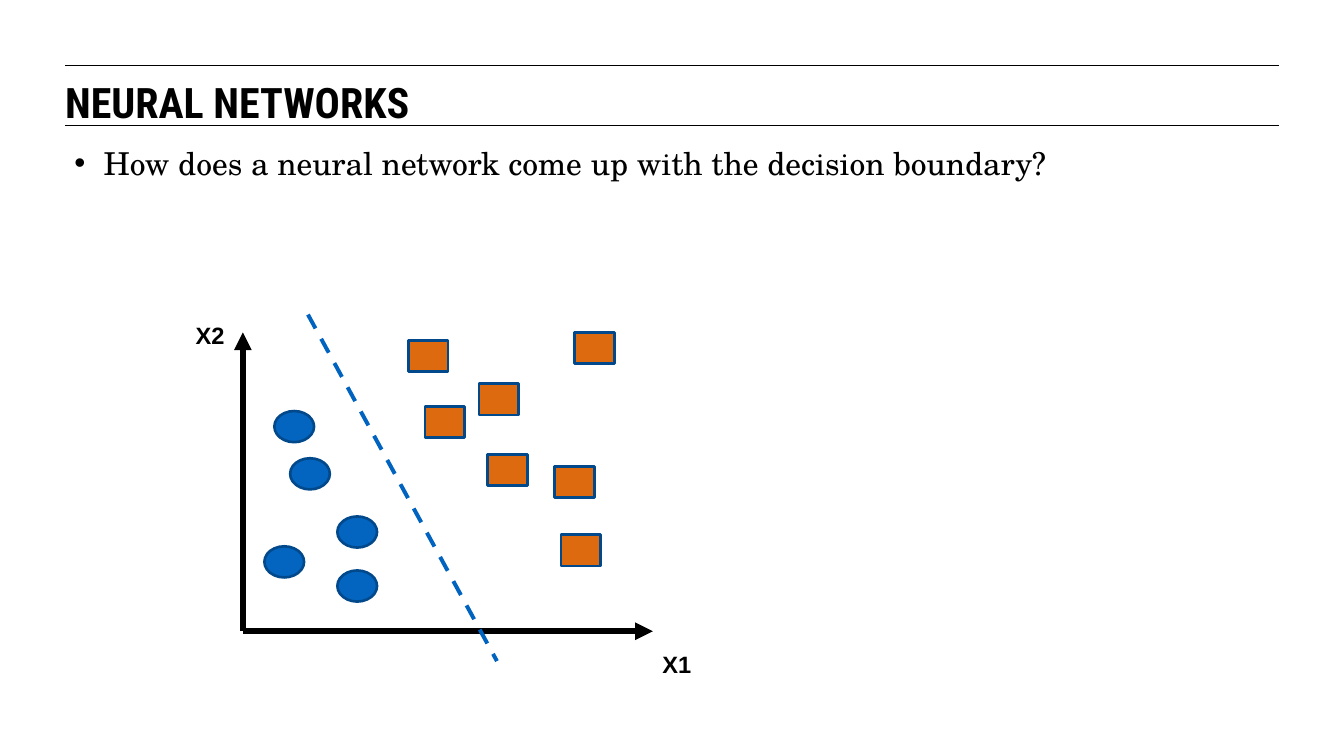
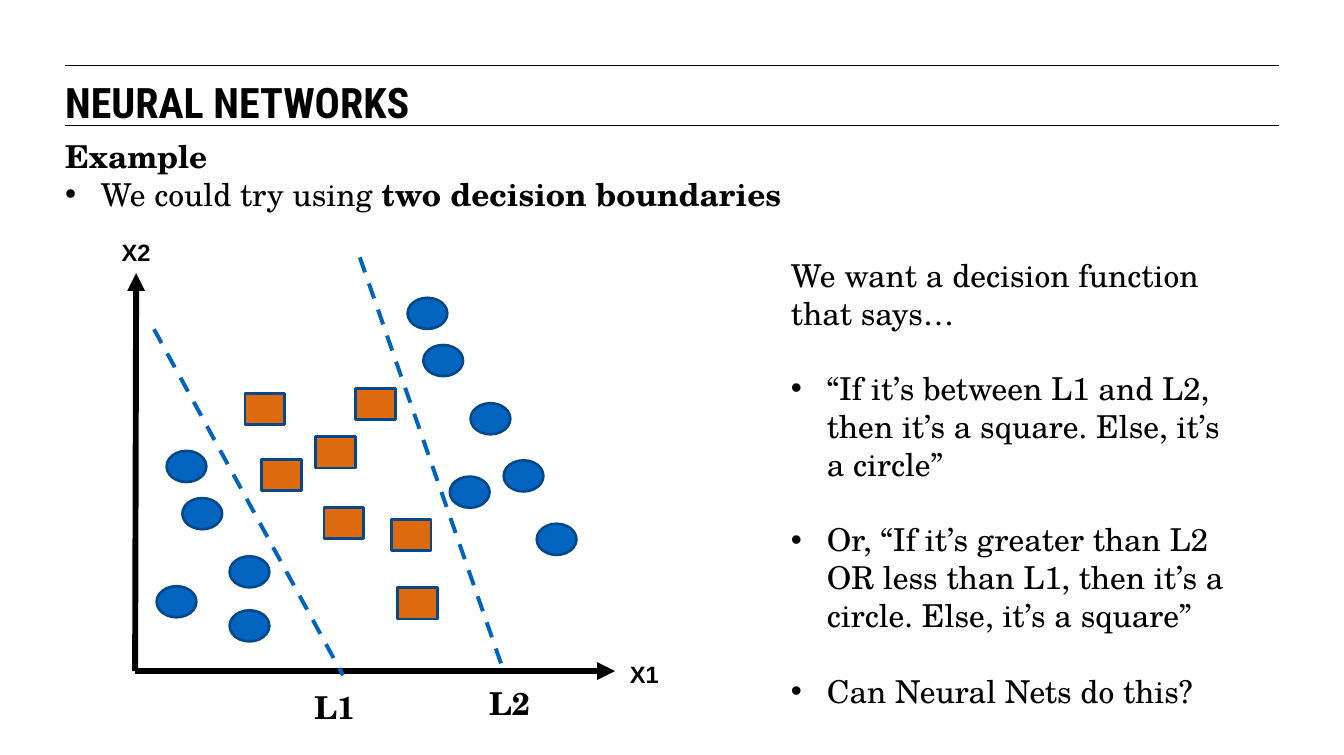
from lxml import etree
from pptx import Presentation, util as u
from pptx.dml import color
from pptx.enum import dml, shapes, text
from pptx.oxml import ns

# Grid: 128 columns by 72 rows; every length below counts these
W, H = u.Inches(14.22), u.Inches(7.99)
COLS, ROWS = 128, 72
LEFT, WIDTH = 6.2, 115.6

# Shared style
COLORS = {
    "ink": "000000",
    "circle": "0365C0",
    "square": "DE6A10",
    "edge": "02498C",
    "boundary": "0063BF",
}
TITLE_FONT, BODY_FONT, LABEL_FONT = "Roboto Condensed", "TeX Gyre Schola", "Arial"
BLANK_LINE = 28.8

# Data points, measured from the plot's origin
LOW_CIRCLES = [(3, -21), (4.5, -16.5), (9, -10.95), (2.05, -8.1), (9, -5.8)]
SQUARES = [(15.75, -27.75), (22.5, -23.6), (17.35, -21.45),
           (29.7, -15.7), (23.3, -16.85), (30.3, -9.2)]
MARK_SIZE = (3.78, 2.97)


def col(n):
    return int(W * n / COLS)


def row(n):
    return int(H * n / ROWS)


def rgb(name):
    return color.RGBColor.from_string(COLORS[name])


def shift(points, dx, dy):
    return [(x + dx, y + dy) for x, y in points]


def add_bullet(p, indent):
    """Give a paragraph a round bullet with a hanging indent."""
    pPr = p._p.get_or_add_pPr()
    pPr.set("marL", str(u.Inches(indent)))
    pPr.set("indent", str(-u.Inches(indent)))
    bu_color = etree.SubElement(pPr, ns.qn("a:buClr"))
    etree.SubElement(bu_color, ns.qn("a:srgbClr"), val=COLORS["ink"])
    etree.SubElement(pPr, ns.qn("a:buFont"), typeface=LABEL_FONT)
    etree.SubElement(pPr, ns.qn("a:buChar"), char="•")


def add_text(s, box, paragraphs, font=BODY_FONT, size=24, bold=False,
             inset=True, grow=False, bullets=(), indent=0.38, gap=0):
    """Each paragraph is a string, or a list of (string, bold) runs."""
    x, y, w, h = box
    tf = s.shapes.add_textbox(col(x), row(y), col(w), row(h)).text_frame
    tf.word_wrap = True
    tf.vertical_anchor = text.MSO_ANCHOR.TOP
    if grow:
        tf.auto_size = text.MSO_AUTO_SIZE.SHAPE_TO_FIT_TEXT
    if not inset:
        tf.margin_left = tf.margin_right = tf.margin_top = tf.margin_bottom = 0
    for i, content in enumerate(paragraphs):
        p = tf.paragraphs[0] if i == 0 else tf.add_paragraph()
        if i and gap:
            p.space_before = u.Pt(gap)
        if i in bullets:
            add_bullet(p, indent)
        runs = [(content, bold)] if isinstance(content, str) else content
        for words, strong in runs:
            r = p.add_run()
            r.text = words
            r.font.name, r.font.size, r.font.bold = font, u.Pt(size), strong
            r.font.color.rgb = rgb("ink")


def add_line(s, start, end, ink="ink", width=0.75, dashed=False, arrow=False):
    line = s.shapes.add_connector(shapes.MSO_CONNECTOR.STRAIGHT,
                                  col(start[0]), row(start[1]),
                                  col(end[0]), row(end[1]))
    line.line.color.rgb = rgb(ink)
    line.line.width = u.Pt(width)
    if dashed:
        line.line.dash_style = dml.MSO_LINE.DASH
    if arrow:
        etree.SubElement(line.line._get_or_add_ln(), ns.qn("a:tailEnd"),
                         type="triangle")
    etree.SubElement(line._element.spPr, ns.qn("a:effectLst"))


def add_marks(s, origin, points, kind):
    preset = {"circle": shapes.MSO_SHAPE.OVAL,
              "square": shapes.MSO_SHAPE.RECTANGLE}[kind]
    for x, y in shift(points, *origin):
        sp = s.shapes.add_shape(preset, col(x), row(y),
                                col(MARK_SIZE[0]), row(MARK_SIZE[1]))
        sp.shadow.inherit = False
        sp.fill.solid()
        sp.fill.fore_color.rgb = rgb(kind)
        sp.line.color.rgb = rgb("edge")
        sp.line.width = u.Pt(2)


def add_axes(s, origin, top, right, x1_at, x2_at):
    for end in shift([top, right], *origin):
        add_line(s, origin, end, width=4.5, arrow=True)
    for name, at in (("X2", x2_at), ("X1", x1_at)):
        add_text(s, (*at, 6.75, 3.05), [name], font=LABEL_FONT, size=18, bold=True)


def add_boundary(s, origin, start, end):
    add_line(s, *shift([start, end], *origin), ink="boundary", width=3, dashed=True)


def new_slide(prs, title):
    """A blank slide with the title between its two rules."""
    s = prs.slides.add_slide(prs.slide_layouts[6])
    for y in (6.2, 12):
        add_line(s, (LEFT, y), (LEFT + WIDTH, y))
    add_text(s, (LEFT, 7.3, WIDTH, 4.25), [title], font=TITLE_FONT, size=32,
             bold=True, inset=False)
    return s


def one_boundary(prs):
    s = new_slide(prs, "NEURAL NETWORKS")
    origin = (23.13, 60.2)
    add_axes(s, origin, top=(0, -28.5), right=(39.05, 0),
             x1_at=(62.2, 61.55), x2_at=(17.75, 30.2))
    add_marks(s, origin, LOW_CIRCLES, "circle")
    add_marks(s, origin, SQUARES + [(31.6, -28.5)], "square")
    add_text(s, (LEFT, 13.25, 105, 4.5),
             ["How does a neural network come up with the decision boundary?"],
             grow=True, bullets=[0], indent=0.31)
    add_boundary(s, origin, (6.2, -30.2), (24.2, 2.85))


def two_boundaries(prs):
    s = new_slide(prs, "NEURAL NETWORKS")
    add_text(s, (LEFT, 13.07, WIDTH, 12.25),
             [[("Example", True)],
              [("We could try using ", False), ("two decision boundaries", True)]],
             inset=False, bullets=[1])

    # Plot: squares lie between the two groups of circles
    origin = (12.87, 64)
    add_axes(s, origin, top=(0.1, -37.95), right=(45.7, 0),
             x1_at=(59.1, 62.45), x2_at=(10.7, 22.25))
    high_circles = shift(LOW_CIRCLES[:3], 22.95, -14.6) + [
        (35.1, -20.1), (29.97, -18.55), (38.25, -14.05)]
    add_marks(s, origin, LOW_CIRCLES + high_circles, "circle")
    add_marks(s, origin, shift(SQUARES, -5.3, 1.25) + [(21, -26.95)], "square")

    # Boundaries and their names
    add_boundary(s, origin, (1.8, -32.6), (19.8, 0.4))
    add_boundary(s, origin, (21.4, -39.45), (35.1, 0))
    for name, x, y in (("L1", 29.05, 65.15), ("L2", 45.7, 64.8)):
        add_text(s, (x, y, 9.2, 4.5), [name], bold=True, grow=True)

    # Decision function
    add_text(s, (74.45, 23.95, 45, 44.6),
             ["We want a decision function that says…",
              "“If it’s between L1 and L2, then it’s a square. Else, it’s a circle”",
              "Or, “If it’s greater than L2 OR less than L1, then it’s a circle. "
              "Else, it’s a square”",
              "Can Neural Nets do this?"],
             grow=True, bullets=[1, 2, 3], gap=BLANK_LINE)


def main():
    prs = Presentation()
    prs.slide_width, prs.slide_height = W, H
    one_boundary(prs)
    two_boundaries(prs)
    prs.save("out.pptx")


if __name__ == "__main__":
    main()
